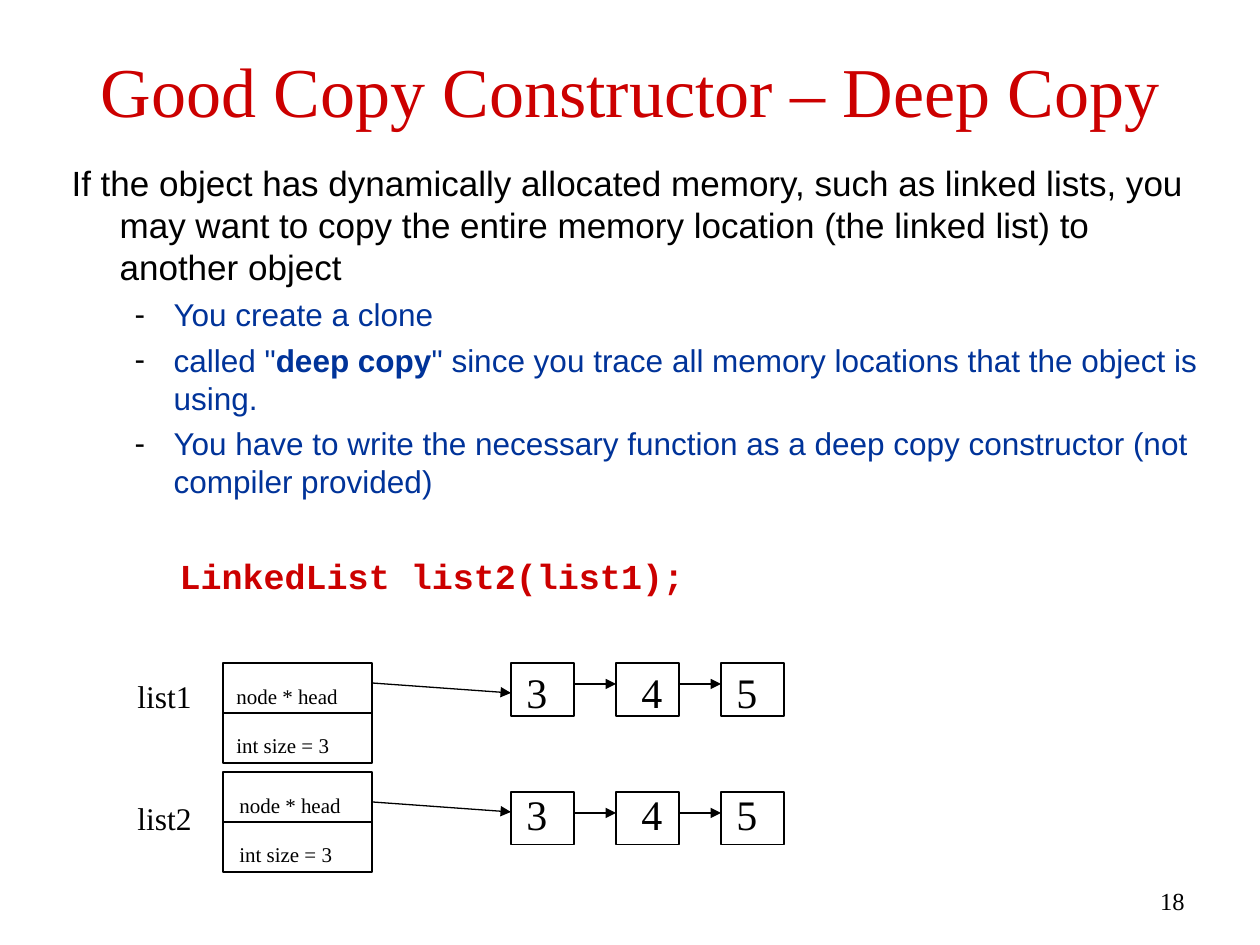
import pptx
import pptx.dml.color
import pptx.enum.shapes
import pptx.enum.text
import pptx.oxml
import pptx.oxml.ns
import pptx.util

PX = 914400 // 126
RED = pptx.dml.color.RGBColor(0xCC, 0x00, 0x00)
BLUE = pptx.dml.color.RGBColor(0x00, 0x33, 0x99)
BLACK = pptx.dml.color.RGBColor(0x00, 0x00, 0x00)
SERIF, SANS, MONO = "Times New Roman", "Arial", "Courier New"
NS = pptx.oxml.ns.nsdecls("a")
ALIGN = pptx.enum.text.PP_ALIGN
Pt = pptx.util.Pt


def style(span, size, face, color, bold=False):
    span.font.size = Pt(size)
    span.font.name = face
    span.font.color.rgb = color
    span.font.bold = bold


def add_line(x1, y1, x2, y2, arrow=True):
    line = page.shapes.add_connector(
        pptx.enum.shapes.MSO_CONNECTOR.STRAIGHT, x1 * PX, y1 * PX, x2 * PX, y2 * PX)
    line.line.color.rgb = BLACK
    line.line.width = Pt(0.75)
    if arrow:
        line.line._get_or_add_ln().append(
            pptx.oxml.parse_xml(f'<a:tailEnd {NS} type="triangle"/>'))
    line._element.spPr.append(pptx.oxml.parse_xml(f"<a:effectLst {NS}/>"))


deck = pptx.Presentation()
deck.slide_width, deck.slide_height = pptx.util.Inches(10), pptx.util.Inches(7.5)
page = deck.slides.add_slide(deck.slide_layouts[1])

# Title
title = page.shapes.title
title.left, title.top, title.width, title.height = 0, 22 * PX, 1260 * PX, 136 * PX
title.text_frame.text = "Good Copy Constructor – Deep Copy"
title.text_frame.vertical_anchor = pptx.enum.text.MSO_ANCHOR.MIDDLE
title.text_frame.paragraphs[0].alignment = ALIGN.CENTER
style(title.text_frame.paragraphs[0].runs[0], 40, SERIF, RED)

# Body: spans, level, left margin, indent, space before, size, face, colour
body = page.placeholders[1]
body.left, body.top, body.width, body.height = 59 * PX, 155 * PX, 1152 * PX, 724 * PX
frame = body.text_frame
frame.auto_size = pptx.enum.text.MSO_AUTO_SIZE.NONE
bullet = (1, 102, -39, 4.5, 18, SANS, BLUE)
body_lines = [
    (["If the object has dynamically allocated memory, such as linked lists, you "
      "may want to copy the entire memory location (the linked list) to another object"],
     0, 48, -48, 5, 20, SANS, BLACK),
    (["You create a clone"], *bullet),
    (['called "', "deep copy",
      '" since you trace all memory locations that the object is using.'], *bullet),
    (["You have to write the necessary function as a deep copy constructor "
      "(not compiler provided)"], *bullet),
    (["LinkedList list2(list1);"], 0, 108, 0, 31, 20, MONO, RED),
]
for number, (spans, level, margin, indent, before, size, face, color) in enumerate(body_lines):
    para = frame.add_paragraph() if number else frame.paragraphs[0]
    para.level = level
    para.alignment = ALIGN.LEFT
    para.space_before = Pt(before)
    para.line_spacing = 1.0
    props = para._p.get_or_add_pPr()
    props.set("marL", str(margin * PX))
    props.set("indent", str(indent * PX))
    if level:
        props.append(pptx.oxml.parse_xml(
            f'<a:buClr {NS}><a:srgbClr val="{BLACK}"/></a:buClr>'))
        props.append(pptx.oxml.parse_xml(f'<a:buChar {NS} char="-"/>'))
    else:
        props.append(pptx.oxml.parse_xml(f"<a:buNone {NS}/>"))
    for text in spans:
        span = para.add_run()
        span.text = text
        style(span, size, face, color, face == MONO or text == "deep copy")

# Linked lists: name, tops of label, record and nodes, left of record text, start of head arrow
NODE_LEFT, NODE_STEP, NODE_WIDTH, NODE_HEIGHT = 511, 105, 63, 53
RECORD_LEFT, RECORD_WIDTH, RECORD_HEIGHT = 223, 149, 100
RECORD_RIGHT = RECORD_LEFT + RECORD_WIDTH
VALUES = ["3", "4", "5"]
VALUE_STOPS = [389, 504, 599]
lists = [("list1", 660, 663, 663, 224, 683), ("list2", 782, 772, 792, 227, 802)]
for name, label_top, record_top, node_top, text_left, head_y in lists:
    outlines = [(RECORD_LEFT, record_top, RECORD_WIDTH, RECORD_HEIGHT)]
    for index in range(len(VALUES)):
        left = NODE_LEFT + index * NODE_STEP
        outlines.append((left, node_top, NODE_WIDTH, NODE_HEIGHT))
        if index:
            add_line(left - NODE_STEP + NODE_WIDTH, node_top + 21, left, node_top + 21)
    for outline in outlines:
        box = page.shapes.add_shape(
            pptx.enum.shapes.MSO_SHAPE.RECTANGLE, *(length * PX for length in outline))
        box.shadow.inherit = False
        box.fill.background()
        box.line.color.rgb = BLACK
        box.line.width = Pt(0.75)

    middle = record_top + RECORD_HEIGHT // 2
    add_line(RECORD_LEFT, middle, RECORD_RIGHT, middle, arrow=False)
    add_line(RECORD_RIGHT, head_y, NODE_LEFT, head_y + 10)

    label = page.shapes.add_textbox(125 * PX, label_top * PX, 722 * PX, 63 * PX)
    label.text_frame.word_wrap = True
    para = label.text_frame.paragraphs[0]
    stops = "".join(f'<a:tab pos="{stop * PX}" algn="l"/>' for stop in VALUE_STOPS)
    para._p.get_or_add_pPr().append(
        pptx.oxml.parse_xml(f"<a:tabLst {NS}>{stops}</a:tabLst>"))
    for text, size in [(name, 18), ("\t" + "\t".join(VALUES), 24)]:
        span = para.add_run()
        span.text = text
        style(span, size, SERIF, BLACK)

    fields = page.shapes.add_textbox(
        text_left * PX, (record_top + 14) * PX, RECORD_WIDTH * PX, 88 * PX)
    fields.text_frame.word_wrap = True
    fields.text_frame.text = "node * head\nint size = 3"
    fields.text_frame.paragraphs[1].space_before = Pt(14)
    for para in fields.text_frame.paragraphs:
        style(para.runs[0], 12, SERIF, BLACK)

# Page number
number_box = page.shapes.add_textbox(935 * PX, 880 * PX, 262 * PX, 63 * PX)
number_box.text_frame.word_wrap = True
number_box.text_frame.text = "18"
number_box.text_frame.paragraphs[0].alignment = ALIGN.RIGHT
style(number_box.text_frame.paragraphs[0].runs[0], 14, SERIF, BLACK)

deck.save("out.pptx")
